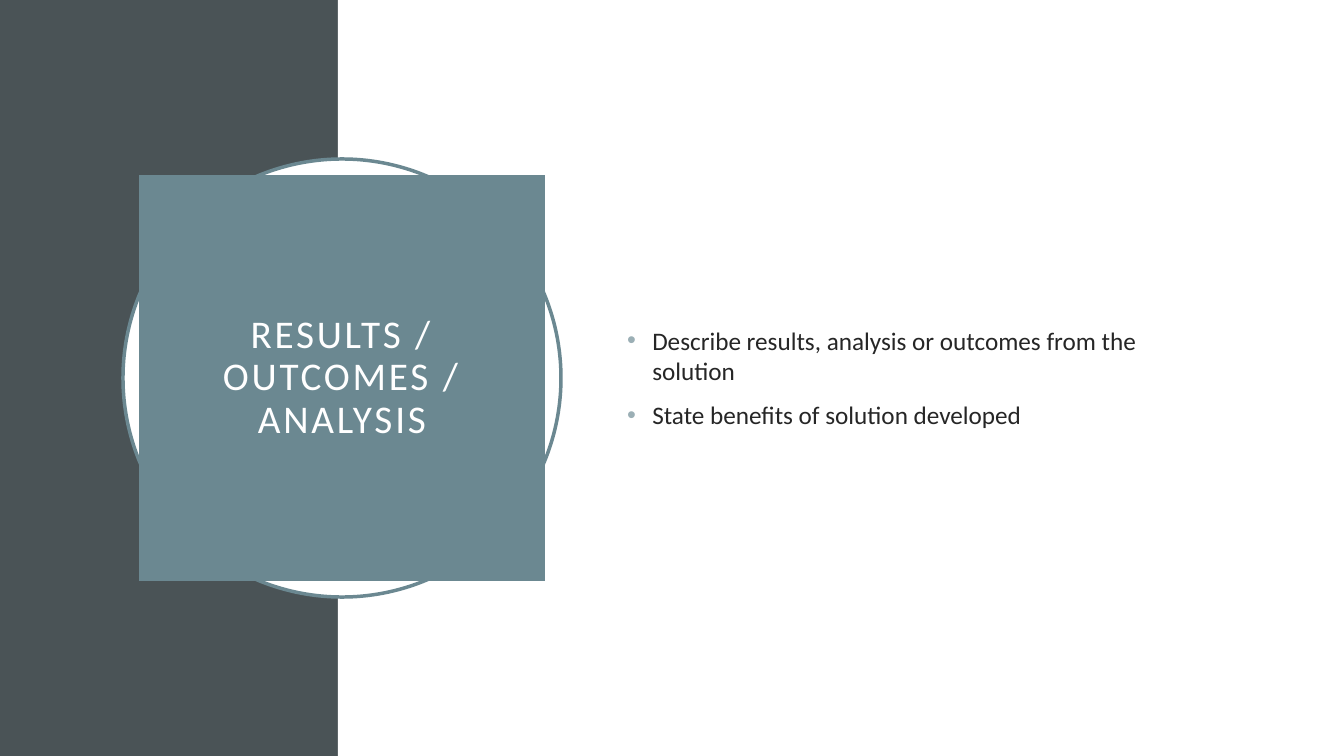
import pptx
import pptx.util
import pptx.dml.color
import pptx.enum.shapes
import pptx.enum.text
import pptx.oxml
import pptx.oxml.ns

PX = 914400 / 100.8
PAGE_WIDTH, PAGE_HEIGHT = 1344, 756
FONT = "Calibri"
COLOURS = {
    "slate": "4A5356",
    "teal": "6B8891",
    "mist": "9BAFB5",
    "white": "FFFFFF",
    "ink": "262626",
}
TITLE = "RESULTS / OUTCOMES / ANALYSIS"
POINTS = [
    "Describe results, analysis or outcomes from the solution",
    "State benefits of solution developed",
]


def px(length):
    return pptx.util.Emu(round(length * PX))


def colour(name):
    return pptx.dml.color.RGBColor.from_string(COLOURS[name])


def paint(shape, name):
    shape.fill.solid()
    shape.fill.fore_color.rgb = colour(name)


def place(shape, box):
    shape.left, shape.top, shape.width, shape.height = map(px, box)


def add_block(page, kind, box, fill, line=None):
    shape = page.shapes.add_shape(kind, *map(px, box))
    shape.shadow.inherit = False
    paint(shape, fill)
    if line:
        shape.line.color.rgb = colour(line)
        shape.line.width = pptx.util.Pt(2.5)
    else:
        shape.line.fill.background()
    return shape


def set_font(para, size, name):
    para.font.name = FONT
    para.font.size = pptx.util.Pt(size)
    para.font.color.rgb = colour(name)


def prepare_frame(shape):
    frame = shape.text_frame
    frame.word_wrap = True
    frame.auto_size = pptx.enum.text.MSO_AUTO_SIZE.NONE
    frame.vertical_anchor = pptx.enum.text.MSO_ANCHOR.MIDDLE
    return frame


def draw_backdrop(page, box, split):
    left, top, width, height = box
    kind = pptx.enum.shapes.MSO_SHAPE.RECTANGLE
    add_block(page, kind, (left, top, split, height), "slate")
    add_block(page, kind, (left + split, top, width - split, height), "white")


def draw_title(page, box):
    left, top, width, height = box
    ring = 16
    ring_box = (left - ring, top - ring, width + 2 * ring, height + 2 * ring)
    add_block(page, pptx.enum.shapes.MSO_SHAPE.OVAL, ring_box, "white", "teal")
    title = page.shapes.title
    place(title, box)
    paint(title, "teal")
    page.shapes.element.append(title.element)
    frame = prepare_frame(title)
    frame.margin_left = frame.margin_right = px(20)
    frame.margin_top = frame.margin_bottom = px(20)
    frame.text = TITLE
    para = frame.paragraphs[0]
    para.alignment = pptx.enum.text.PP_ALIGN.CENTER
    para.line_spacing = 0.9
    set_font(para, 28, "white")
    para.font._element.set("spc", "200")


def add_bullet(para):
    properties = para._p.get_or_add_pPr()
    indent = pptx.util.Inches(0.25)
    properties.set("marL", str(indent))
    properties.set("indent", str(-indent))
    namespace = pptx.oxml.ns.nsdecls("a")
    for markup in (
        f'<a:buClr {namespace}><a:srgbClr val="{COLOURS["mist"]}"/></a:buClr>',
        f'<a:buFont {namespace} typeface="Arial"/>',
        f'<a:buChar {namespace} char="•"/>',
    ):
        properties.append(pptx.oxml.parse_xml(markup))


def draw_points(page, box):
    body = page.placeholders[1]
    place(body, box)
    page.shapes.element.append(body.element)
    frame = prepare_frame(body)
    frame.text = "\n".join(POINTS)
    for para in frame.paragraphs:
        para.space_before = pptx.util.Pt(10)
        add_bullet(para)
        set_font(para, 18, "ink")


def main():
    deck = pptx.Presentation()
    deck.slide_width, deck.slide_height = px(PAGE_WIDTH), px(PAGE_HEIGHT)
    page = deck.slides.add_slide(deck.slide_layouts[1])
    draw_backdrop(page, (0, 0, PAGE_WIDTH, PAGE_HEIGHT), 338)
    draw_title(page, (139, 175, 406, 406))
    draw_points(page, (617, 154, 587, 447))
    deck.save("out.pptx")


if __name__ == "__main__":
    main()
